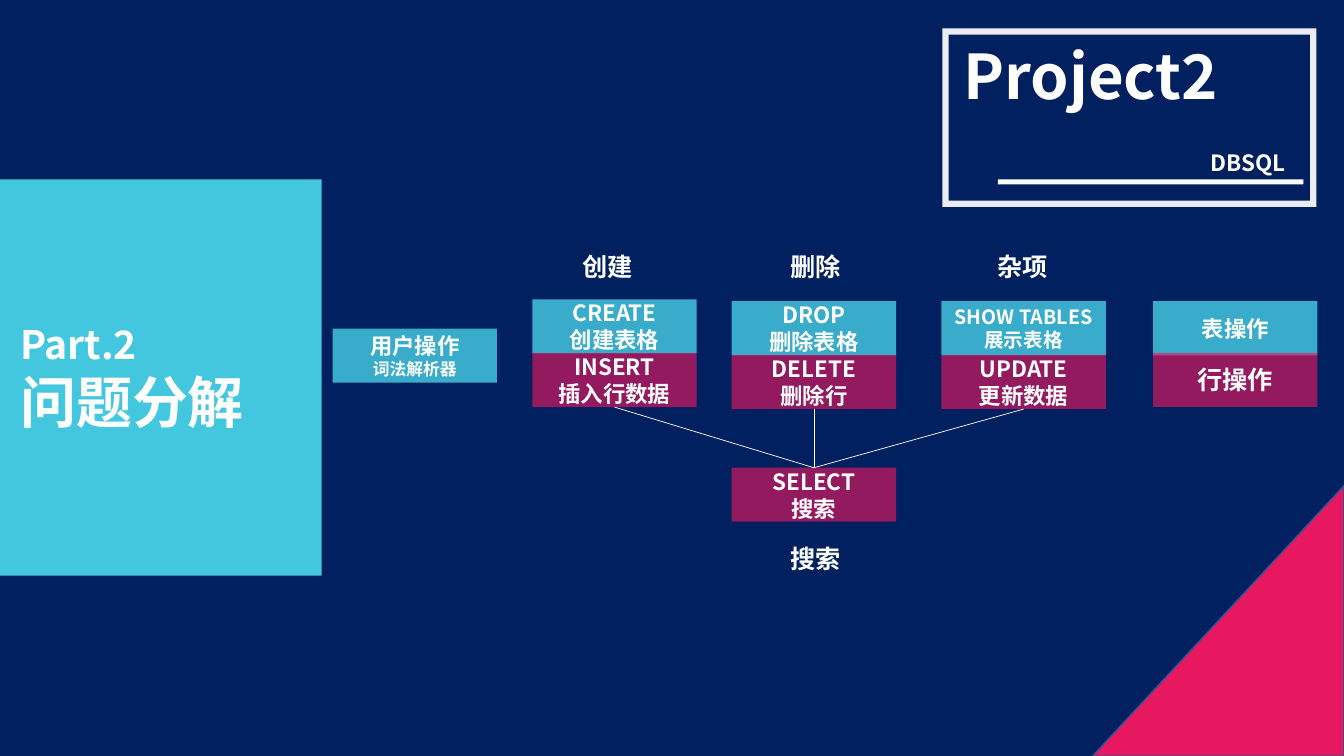
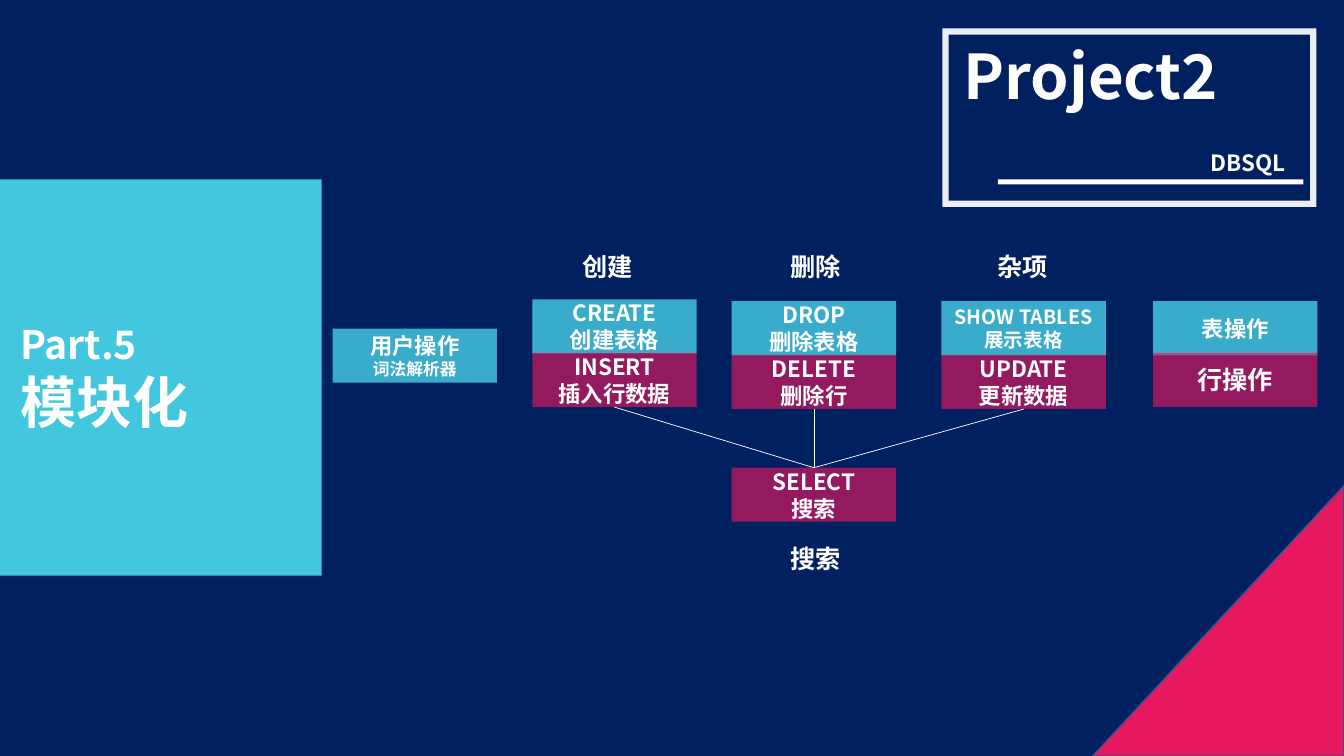
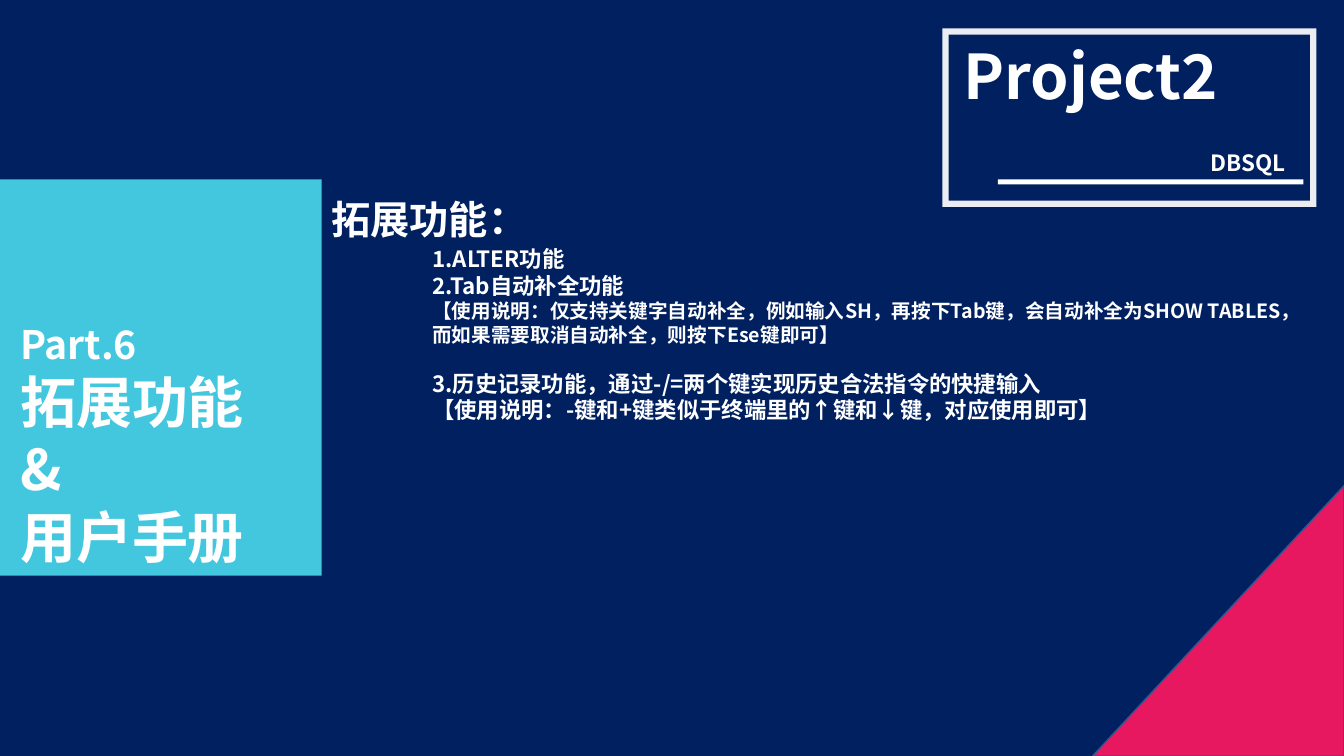
import pptx
import pptx.dml.color
import pptx.enum.shapes
import pptx.enum.text
import pptx.oxml
import pptx.oxml.ns
import pptx.util

Pt = pptx.util.Pt
SHAPE = pptx.enum.shapes.MSO_SHAPE
ANCHOR = pptx.enum.text.MSO_ANCHOR
ALIGN = pptx.enum.text.PP_ALIGN
AUTOSIZE = pptx.enum.text.MSO_AUTO_SIZE

# Content: paragraphs are (text, size) or (text, size, paragraph format).
TITLES = [
    [("Part.2", 28), ("问题分解", 40)],
    [("Part.5", 28), ("模块化", 40)],
    [("Part.6", 28), ("拓展功能\v&", 40), ("用户手册", 40)],
]
TITLE_SIZES = [(176.4, 90), (135.4, 90), (213.1, 138.2)]

BADGE_NAME = [("Project2", 44)]
BADGE_TOPIC = [("DBSQL", 16)]

# Command columns: left, top of the table command, top of the row command, texts.
COMMANDS = [
    (380.2, 213.8, 252.2, [("CREATE", 16), ("创建表格", 16)], [("INSERT", 16), ("插入行数据", 16)]),
    (522.7, 215.2, 253.6, [("DROP", 16), ("删除表格", 16)], [("DELETE", 16), ("删除行", 16)]),
    (672.5, 215.2, 253.6, [("SHOW TABLES展示表格", 14)], [("UPDATE", 16), ("更新数据", 16)]),
]
LEGEND = (823.7, 215.2, 252, [("表操作", 16)], [("行操作", 18)])
SELECT = (522.7, 334.1, [("SELECT", 16), ("搜索", 16)])
PARSER = (237.6, 234.7, [("用户操作", 16), ("词法解析器", 12)])
HEADINGS = ["创建", "删除", "杂项"]
SEARCH_HEADING = "搜索"

INDENT = 72
MANUAL = [
    ("拓展功能：", 28),
    ("1.ALTER功能", 16, {"space_before": Pt(2)}),
    ("2.Tab自动补全功能", 16),
    ("【使用说明：仅支持关键字自动补全，例如输入SH，再按下Tab键，会自动补全为SHOW TABLES，", 14),
    ("而如果需要取消自动补全，则按下Ese键即可】", 14),
    ("3.历史记录功能，通过-/=两个键实现历史合法指令的快捷输入", 16, {"space_before": Pt(16.8)}),
    ("【使用说明：-键和+键类似于终端里的↑键和↓键，对应使用即可】", 16),
]

# Shared look
FONT = "Noto Sans CJK SC"
COLORS = {
    "navy": "002060",
    "white": "FFFFFF",
    "cyan": "50E8F8",
    "pink": "E81860",
    "edge": "325491",
}
TABLE_FILL = ("cyan", 70)
ROW_FILL = ("pink", 64)
BOX_WIDTH, BOX_HEIGHT = 117.4, 38.6
HEADING_LEFT, HEADING_STEP, HEADING_TOP = 409, 148.3, 175.7
HEADING_SIZE = (51.1, 28.8)
LABEL_FRAME = {"word_wrap": False, "auto_size": AUTOSIZE.SHAPE_TO_FIT_TEXT,
               "vertical_anchor": ANCHOR.TOP}
BODY_FRAME = {**LABEL_FRAME, "word_wrap": True}
BOX_FRAME = {"word_wrap": True, "vertical_anchor": ANCHOR.MIDDLE}


def rgb(name):
    """Return a palette colour."""
    return pptx.dml.color.RGBColor.from_string(COLORS[name])


def apply(target, values):
    """Set every attribute in a dict of format values."""
    for name, value in values.items():
        setattr(target, name, value)


def drawing_element(tag, **attributes):
    """Make a DrawingML element."""
    element = pptx.oxml.parse_xml(f"<a:{tag} {pptx.oxml.ns.nsdecls('a')}/>")
    for name, value in attributes.items():
        element.set(name, value)
    return element


def write(frame, paragraphs, frame_format, align=ALIGN.LEFT):
    """Fill a text frame with bold white paragraphs."""
    apply(frame, frame_format)
    for index, (text, size, *extra) in enumerate(paragraphs):
        paragraph = frame.paragraphs[0] if index == 0 else frame.add_paragraph()
        paragraph.text = text
        apply(paragraph, {"alignment": align, **(extra[0] if extra else {})})
        for run in paragraph.runs:
            apply(run.font, {"size": Pt(size), "bold": True, "name": FONT})
            run.font.color.rgb = rgb("white")
            run.font._element.append(drawing_element("ea", typeface=FONT))


def add_area(shapes, preset, box, color, opacity=100):
    """Add a filled preset shape without outline or shadow."""
    area = shapes.add_shape(preset, *map(Pt, box))
    area.shadow.inherit = False
    area.fill.solid()
    area.fill.fore_color.rgb = rgb(color)
    area.line.fill.background()
    if opacity < 100:
        shade = area.element.spPr.find(".//" + pptx.oxml.ns.qn("a:srgbClr"))
        shade.append(drawing_element("alpha", val=str(opacity * 1000)))
    return area


def add_label(shapes, box, paragraphs, frame_format=LABEL_FRAME):
    """Add a text box."""
    label = shapes.add_textbox(*map(Pt, box))
    write(label.text_frame, paragraphs, frame_format)
    return label


def add_box(slide, left, top, fill, paragraphs):
    """Add one command box."""
    box = add_area(slide.shapes, SHAPE.RECTANGLE, (left, top, BOX_WIDTH, BOX_HEIGHT), *fill)
    write(box.text_frame, paragraphs, BOX_FRAME, ALIGN.CENTER)
    return box


def add_pair(slide, left, table_top, row_top, table_text, row_text):
    """Stack a table command on a row command and return the lower box."""
    add_box(slide, left, table_top, TABLE_FILL, table_text)
    return add_box(slide, left, row_top, ROW_FILL, row_text)


def add_link(slide, upper, lower):
    """Join the bottom of one box to the top of another."""
    link = slide.shapes.add_connector(pptx.enum.shapes.MSO_CONNECTOR.STRAIGHT, 0, 0, 0, 0)
    link.begin_connect(upper, 2)
    link.end_connect(lower, 0)
    link.line.color.rgb = rgb("white")
    link.line.width = Pt(0.5)
    link.element.spPr.append(drawing_element("effectLst"))


def add_slide(deck, title_text, title_size):
    """Add a slide with the badge, side panel, corner and title."""
    slide = deck.slides.add_slide(deck.slide_layouts[5])
    badge = slide.shapes.add_group_shape().shapes
    border = add_area(badge, SHAPE.FRAME, (673.2, 20.2, 267.1, 127.6), "white", 92)
    border.adjustments[0] = 0.035
    add_area(badge, SHAPE.RECTANGLE, (712.8, 128.2, 218.2, 3.6), "white")
    add_label(badge, (681.1, 23.8, 199.4, 60.5), BADGE_NAME)
    add_label(badge, (857.5, 103, 73.4, 26.6), BADGE_TOPIC)

    add_area(slide.shapes, SHAPE.RECTANGLE, (0, 128.2, 229.7, 283), "cyan", 84)
    corner = add_area(slide.shapes, SHAPE.RIGHT_TRIANGLE, (780.5, 347, 179.5, 193), "pink")
    corner.element.spPr.get_or_add_xfrm().set("flipH", "1")
    corner.line.color.rgb = rgb("edge")
    corner.line.width = Pt(1)

    title = slide.shapes.title
    corner.element.addnext(title.element)
    width, height = title_size
    apply(title, {"left": Pt(7.2), "top": Pt(225.4), "width": Pt(width), "height": Pt(height)})
    write(title.text_frame, title_text, LABEL_FRAME)
    return slide


def add_command_map(slide):
    """Draw the command columns leading to the search command."""
    add_pair(slide, *LEGEND)
    row_boxes = [add_pair(slide, *column) for column in COMMANDS]
    left, top, text = SELECT
    search = add_box(slide, left, top, ROW_FILL, text)
    for row_box in row_boxes:
        add_link(slide, row_box, search)
    for index, heading in enumerate(HEADINGS):
        place = (HEADING_LEFT + index * HEADING_STEP, HEADING_TOP)
        add_label(slide.shapes, place + HEADING_SIZE, [(heading, 18)])
    add_label(slide.shapes, (HEADING_LEFT + HEADING_STEP, 384.5) + HEADING_SIZE,
              [(SEARCH_HEADING, 18)])
    left, top, text = PARSER
    add_box(slide, left, top, TABLE_FILL, text)


def add_manual(slide):
    """Write the extension notes with first-line indents."""
    notes = add_label(slide.shapes, (229.7, 136.1, 711.4, 172.1), MANUAL, BODY_FRAME)
    for paragraph in notes.text_frame.paragraphs[1:]:
        properties = paragraph._p.get_or_add_pPr()
        properties.set("marL", "0")
        properties.set("indent", str(Pt(INDENT)))


deck = pptx.Presentation()
apply(deck, {"slide_width": Pt(960), "slide_height": Pt(540)})
backdrop = deck.slide_master.background.fill
backdrop.solid()
backdrop.fore_color.rgb = rgb("navy")

BODIES = [add_command_map, add_command_map, add_manual]
for title_text, title_size, add_body in zip(TITLES, TITLE_SIZES, BODIES):
    add_body(add_slide(deck, title_text, title_size))

deck.save("out.pptx")
